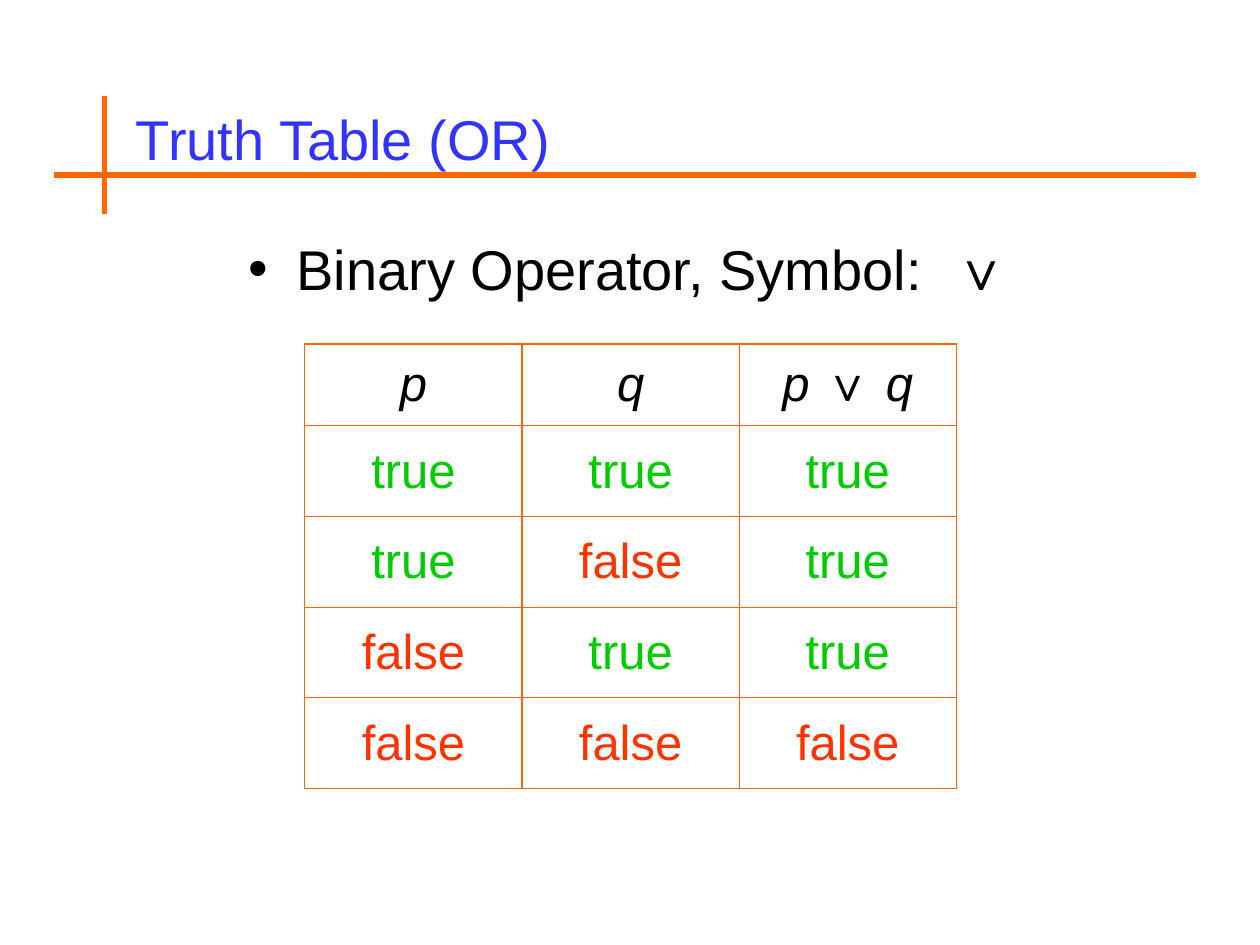
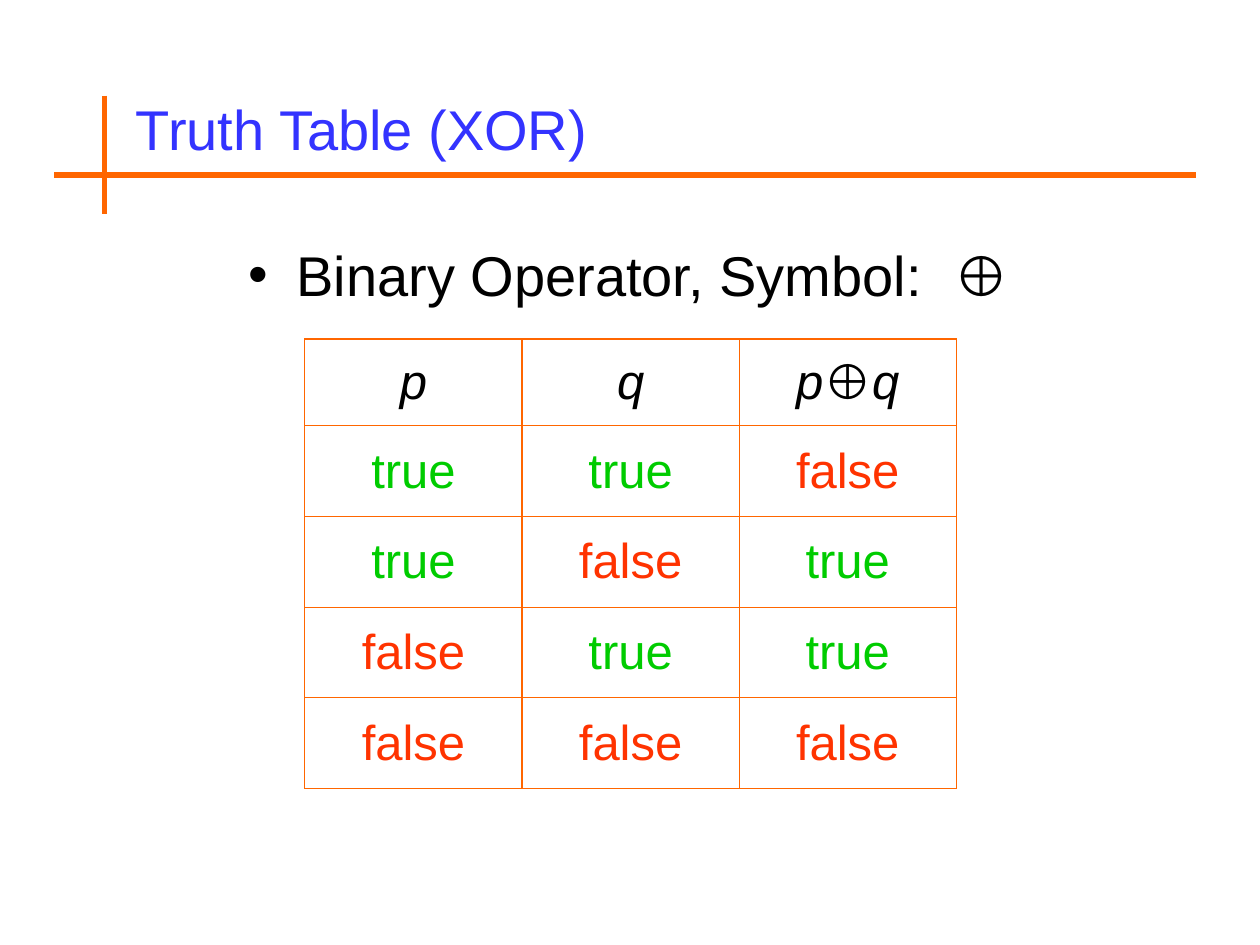
from itertools import product

from lxml.etree import SubElement
from pptx import Presentation
from pptx.dml.color import RGBColor
from pptx.enum.shapes import MSO_CONNECTOR as CONNECTOR
from pptx.enum.text import MSO_ANCHOR as ANCHOR, PP_ALIGN as ALIGN
from pptx.oxml import parse_xml
from pptx.oxml.ns import nsdecls, qn
from pptx.util import Inches, Pt

ORANGE = RGBColor(0xFF, 0x66, 0x00)
BLUE = RGBColor(0x33, 0x33, 0xFF)
BLACK = RGBColor(0x00, 0x00, 0x00)
GREEN = RGBColor(0x00, 0xCC, 0x00)
RED = RGBColor(0xFF, 0x33, 0x00)
FONT = "Arial"
HEADING_SIZE = 32
CELL_SIZE = 28
TABLE_BOTTOM = 6.26
VALUE_ROW_HEIGHT = 0.72


def add_span(para, text, size, color=BLACK, bold=False, italic=False):
    span = para.add_run()
    span.text = text
    font = span.font
    font.name, font.size = FONT, Pt(size)
    font.bold, font.italic = bold, italic
    font.color.rgb = color


def add_box(page, left, top, width, height, anchor):
    box = page.shapes.add_textbox(Inches(left), Inches(top), Inches(width), Inches(height))
    frame = box.text_frame
    frame.word_wrap = True
    frame.vertical_anchor = anchor
    return frame.paragraphs[0]


def add_title(page, text, top):
    para = add_box(page, 0.98, top, 5.12, 0.75, ANCHOR.MIDDLE)
    add_span(para, text, HEADING_SIZE, BLUE)


def add_bullet(page, symbol, top):
    para = add_box(page, 0.58, top, 8.83, 0.92, ANCHOR.TOP)
    para.alignment = ALIGN.CENTER
    para.space_before = Pt(8)
    properties = para._p.get_or_add_pPr()
    properties.set("marL", str(Inches(0.38)))
    properties.set("indent", str(-Inches(0.38)))
    bullet_color = SubElement(properties, qn("a:buClr"))
    SubElement(bullet_color, qn("a:srgbClr"), val=str(BLACK))
    SubElement(properties, qn("a:buFont"), typeface=FONT)
    SubElement(properties, qn("a:buChar"), char="•")
    add_span(para, "Binary Operator, Symbol:  ", HEADING_SIZE)
    add_span(para, symbol, HEADING_SIZE, bold=True)


def set_borders(cell):
    properties = cell._tc.get_or_add_tcPr()
    for index, side in enumerate(("lnL", "lnR", "lnT", "lnB")):
        border = parse_xml(
            f'<a:{side} {nsdecls("a")} w="{Pt(0.75)}"><a:solidFill>'
            f'<a:srgbClr val="{ORANGE}"/></a:solidFill></a:{side}>'
        )
        properties.insert(index, border)


def open_cell(cell):
    cell.fill.background()
    set_borders(cell)
    cell.vertical_anchor = ANCHOR.MIDDLE
    para = cell.text_frame.paragraphs[0]
    para.alignment = ALIGN.CENTER
    para.space_before = Pt(7)
    return para


def add_truth_table(page, operator_text, operation, header_height):
    height = header_height + 4 * VALUE_ROW_HEIGHT
    table = page.shapes.add_table(
        5, 3, Inches(2.42), Inches(TABLE_BOTTOM - height), Inches(5.17), Inches(height)
    ).table
    table.first_row = table.horz_banding = False
    for index, row in enumerate(table.rows):
        row.height = Inches(VALUE_ROW_HEIGHT if index else header_height)

    left_text, symbol_text = operator_text
    headers = (
        [("p", False)],
        [("q", False)],
        [(left_text, False), (symbol_text, True), ("q", False)],
    )
    for column, parts in enumerate(headers):
        para = open_cell(table.cell(0, column))
        for text, is_symbol in parts:
            add_span(para, text, CELL_SIZE, bold=is_symbol, italic=not is_symbol)

    for row, (p, q) in enumerate(product((True, False), repeat=2), 1):
        for column, value in enumerate((p, q, operation(p, q))):
            para = open_cell(table.cell(row, column))
            add_span(para, "true" if value else "false", CELL_SIZE, GREEN if value else RED)


def add_line(page, *ends):
    line = page.shapes.add_connector(CONNECTOR.STRAIGHT, *map(Inches, ends))
    line.line.color.rgb = ORANGE
    line.line.width = Pt(3)
    SubElement(line._element.spPr, qn("a:effectLst"))


def add_title_cross(page):
    add_line(page, 0.43, 1.39, 9.49, 1.39)
    add_line(page, 0.83, 0.76, 0.83, 1.7)


def add_operator_page(deck, name, symbol, operator_text, operation, title_top, bullet_top,
                      header_height):
    page = deck.slides.add_slide(deck.slide_layouts[6])
    add_title(page, f"Truth Table ({name})", title_top)
    add_bullet(page, symbol, bullet_top)
    add_truth_table(page, operator_text, operation, header_height)
    add_title_cross(page)


def main():
    deck = Presentation()
    deck.slide_width, deck.slide_height = Inches(10), Inches(7.5)
    add_operator_page(deck, "OR", "∨", ("p ", "∨ "), lambda p, q: p or q, 0.72, 1.81, 0.65)
    add_operator_page(deck, "XOR", "⊕", ("p", "⊕"), lambda p, q: p != q, 0.64, 1.86, 0.69)
    deck.save("out.pptx")


if __name__ == "__main__":
    main()
